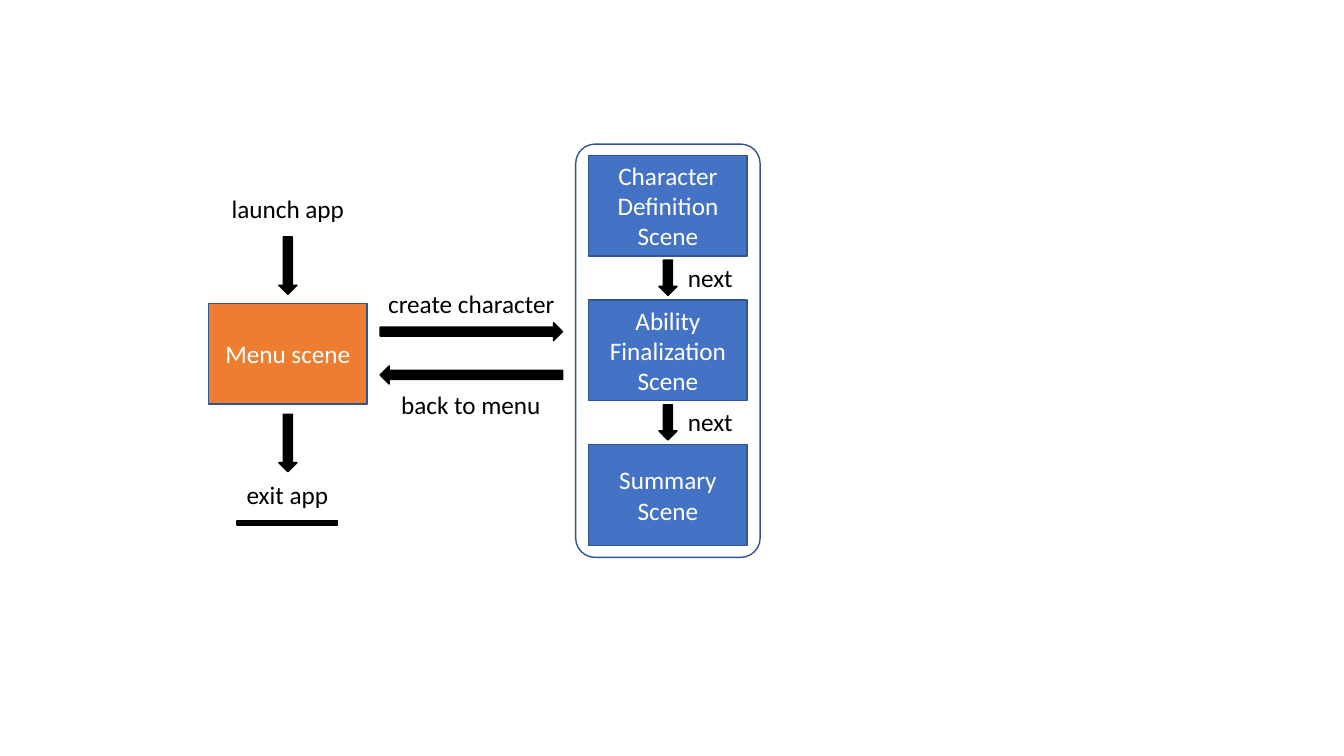
"""Draws the scene flow of a character creation app."""
from pptx import Presentation, util as u
from pptx.dml.color import RGBColor
from pptx.enum import shapes, text

KIND = shapes.MSO_SHAPE
BLACK, WHITE, EDGE = "000000", "FFFFFF", "325491"
ORANGE, BLUE = "ED7D31", "4472C4"
WIDE, HIGH, THICK = 1.57, 1, 0.18
MENU = ("Menu scene", 2.07, 3.01)
SCENES = ["Character Definition Scene", "Ability Finalization Scene",
          "Summary Scene"]
LEFT, TOP, LAST = 5.84, 1.54, 4.41
FRAME = (5.71, 1.43, 1.83, 4.1)
DOWNS = [2.35, 4.11]
BAR = (2.35, 5.17, 1, 0.04)
ACROSS = [(KIND.RIGHT_ARROW, 3.2), (KIND.LEFT_ARROW, 3.63)]
LABELS = [("launch app", 2.19, 1.87, 1.33), ("exit app", 2.34, 4.71, 1.02),
          ("create character", 3.74, 2.81, 1.87),
          ("back to menu", 3.87, 3.81, 1.6)]


def color(code):
    return RGBColor.from_string(code)


def write(shape, words, code):
    frame = shape.text_frame
    frame.text = words
    frame.vertical_anchor = text.MSO_ANCHOR.MIDDLE
    para = frame.paragraphs[0]
    para.alignment = text.PP_ALIGN.CENTER
    font = para.runs[0].font
    font.name, font.size = "Calibri", u.Pt(18)
    font.color.rgb = color(code)


def draw(slide, kind, area, fill=BLACK, line=BLACK):
    shape = slide.shapes.add_shape(kind, *map(u.Inches, area))
    shape.shadow.inherit = False
    if fill:
        shape.fill.solid()
        shape.fill.fore_color.rgb = color(fill)
    else:
        shape.fill.background()
    shape.line.color.rgb = color(line)
    shape.line.width = u.Pt(1)
    return shape


def scene(slide, words, left, top, fill):
    box = draw(slide, KIND.RECTANGLE, (left, top, WIDE, HIGH), fill, EDGE)
    box.text_frame.word_wrap = True
    write(box, words, WHITE)


def label(slide, words, left, top, width):
    box = slide.shapes.add_textbox(*map(u.Inches, (left, top, width, 0.4)))
    box.text_frame.word_wrap = False
    box.text_frame.auto_size = text.MSO_AUTO_SIZE.SHAPE_TO_FIT_TEXT
    write(box, words, BLACK)


def main():
    deck = Presentation()
    deck.slide_width, deck.slide_height = u.Inches(13.33), u.Inches(7.5)
    slide = deck.slides.add_slide(deck.slide_layouts[6])

    frame = draw(slide, KIND.ROUNDED_RECTANGLE, FRAME, None, EDGE)
    frame.adjustments[0] = 0.105
    scene(slide, *MENU, ORANGE)
    inset = (WIDE - THICK) / 2
    for top in DOWNS:
        draw(slide, KIND.DOWN_ARROW, (MENU[1] + inset, top, THICK, 0.57))
    draw(slide, KIND.RECTANGLE, BAR)
    for kind, top in ACROSS:
        draw(slide, kind, (3.77, top, 1.81, THICK))

    step = (LAST - TOP) / (len(SCENES) - 1)
    for row, words in enumerate(SCENES):
        top = TOP + row * step
        scene(slide, words, LEFT, top, BLUE)
        if row < len(SCENES) - 1:
            end = top + HIGH
            draw(slide, KIND.DOWN_ARROW,
                 (LEFT + inset, end + 0.04, THICK, 0.35))
            label(slide, "next", 6.72, end + 0.01, 0.65)
    for item in LABELS:
        label(slide, *item)
    deck.save("out.pptx")


if __name__ == "__main__":
    main()
